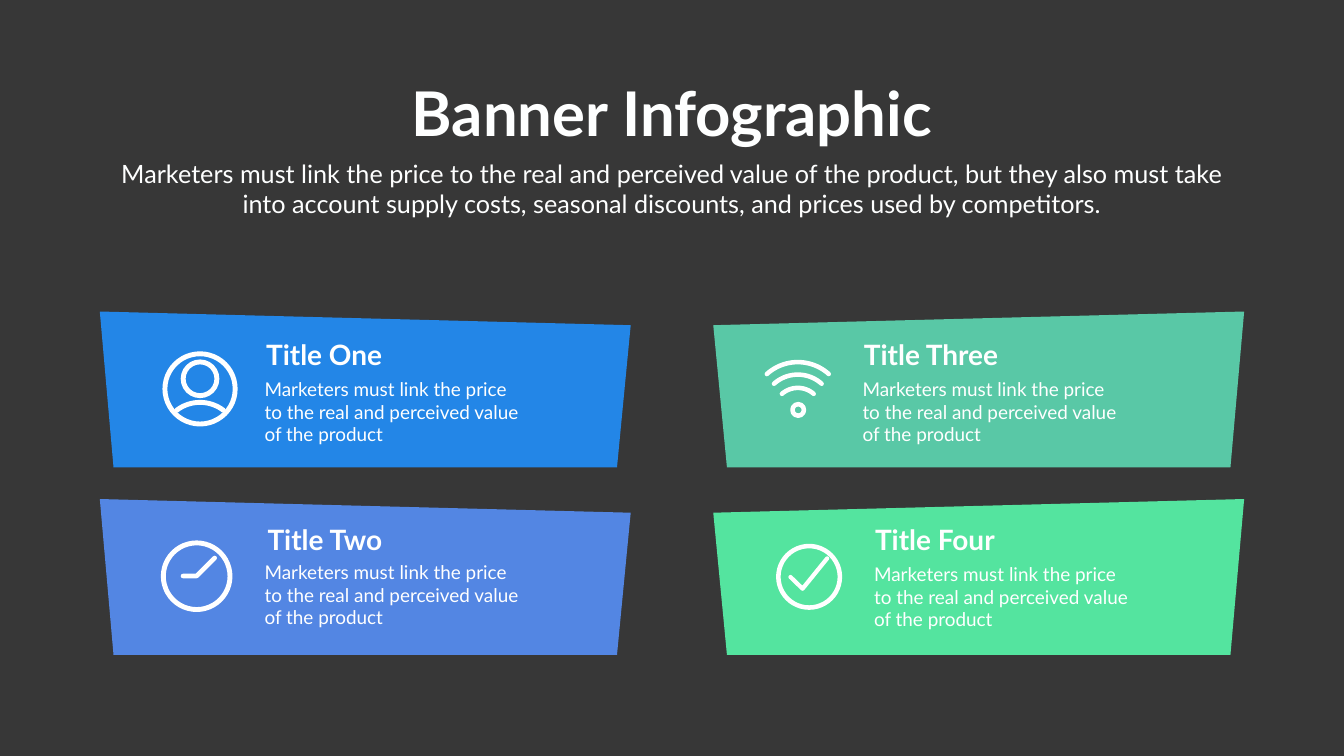
from math import asin, cos, sin

from lxml import etree
from pptx import Presentation
from pptx.dml.color import RGBColor
from pptx.enum.shapes import MSO_SHAPE
from pptx.enum.text import MSO_AUTO_SIZE, PP_ALIGN
from pptx.oxml.ns import qn
from pptx.util import Cm, Pt

OVAL = MSO_SHAPE.OVAL
GROW = MSO_AUTO_SIZE.SHAPE_TO_FIT_TEXT
LEFT, CENTER = PP_ALIGN.LEFT, PP_ALIGN.CENTER

COLORS = {
    "background": "373737",
    "heading": "FEFFFF",
    "white": "FFFFFF",
    "blue": "2386E7",
    "indigo": "5386E3",
    "teal": "59C8A6",
    "green": "54E49F",
}
FONT = "Lato"
SLIDE_WIDTH, SLIDE_HEIGHT = 67.72, 38.1

HEADING = "Banner Infographic"
INTRO = (
    "Marketers must link the price to the real and perceived value of the product, "
    "but they also must take into account supply costs, seasonal discounts, "
    "and prices used by competitors."
)
BODY = "Marketers must link the price to the real and perceived value of the product"

BANNERS = [
    {"title": "Title One", "color": "blue", "column": 0, "row": 0,
     "title_box": (13.16, 16.89, 6.53), "body_at": (13.08, 18.9)},
    {"title": "Title Two", "color": "indigo", "column": 0, "row": 1,
     "title_box": (13.23, 26.21, 6.53), "body_at": (13.08, 28.12)},
    {"title": "Title Three", "color": "teal", "column": 1, "row": 0,
     "title_box": (43.28, 16.89, 7.67), "body_at": (43.21, 18.9)},
    {"title": "Title Four", "color": "green", "column": 1, "row": 1,
     "title_box": (43.84, 26.21, 7.16), "body_at": (43.79, 28.22)},
]
MARGIN, FIRST_TOP, ROW_STEP = 5.03, 15.7, 9.45
BANNER_WIDTH, BANNER_HEIGHT, SLANT = 26.75, 7.85, 0.69

# center x, center y, radius, line width
RINGS = [
    (10.08, 19.6, 1.77, 7),
    (10.08, 19.09, 0.85, 7),
    (9.91, 29.04, 1.68, 7),
    (40.77, 29.07, 1.55, 6.5),
    (40.22, 20.66, 0.29, 6.5),
]
# peak x, peak y, half width, rise, line width
ARCS = [
    (10.08, 20.28, 1.18, 0.4, 7),
    (40.2, 18.25, 1.56, 0.6, 6.5),
    (40.2, 18.88, 1.2, 0.46, 6.5),
    (40.2, 19.55, 0.8, 0.3, 6.5),
]
CLOCK_HANDS = [(9.22, 29.03), (9.91, 29.03), (10.82, 28.12)]
CHECK_MARK = [(39.83, 29.08), (40.44, 29.67), (41.68, 28.14)]
ARC_STEPS = 24


def color(name):
    return RGBColor.from_string(COLORS[name])


def add_path(slide, points, close):
    points = [(Cm(x), Cm(y)) for x, y in points]
    builder = slide.shapes.build_freeform(*points[0])
    builder.add_line_segments(points[1:], close=close)
    shape = builder.convert_to_shape()
    shape.shadow.inherit = False
    return shape


def set_stroke(shape, width):
    shape.fill.background()
    shape.line.color.rgb = color("white")
    shape.line.width = Pt(width)


def add_stroke(slide, points, width):
    shape = add_path(slide, points, False)
    set_stroke(shape, width)
    line = shape.element.spPr.find(qn("a:ln"))
    line.set("cap", "rnd")
    etree.SubElement(line, qn("a:round"))


def add_ring(slide, x, y, radius, width):
    shape = slide.shapes.add_shape(
        OVAL, Cm(x - radius), Cm(y - radius), Cm(2 * radius), Cm(2 * radius))
    shape.shadow.inherit = False
    set_stroke(shape, width)


def arc_points(x, y, half, rise):
    radius = (half ** 2 + rise ** 2) / (2 * rise)
    limit = asin(half / radius)
    angles = [limit * (2 * step / ARC_STEPS - 1) for step in range(ARC_STEPS + 1)]
    return [(x + radius * sin(a), y + radius * (1 - cos(a))) for a in angles]


def add_banner(slide, banner):
    left, top = MARGIN, FIRST_TOP + banner["row"] * ROW_STEP
    right, bottom = left + BANNER_WIDTH, top + BANNER_HEIGHT
    points = [(left, top), (right, top + SLANT),
              (right - SLANT, bottom), (left + SLANT, bottom)]
    if banner["column"] == 1:
        points = [(SLIDE_WIDTH - x, y) for x, y in points]
    shape = add_path(slide, points, True)
    shape.fill.solid()
    shape.fill.fore_color.rgb = color(banner["color"])
    shape.line.fill.background()


def add_text(slide, text, box, size, color_name="white", bold=False,
             align=LEFT, wrap=True):
    frame = slide.shapes.add_textbox(*map(Cm, box)).text_frame
    frame.word_wrap = wrap
    frame.auto_size = GROW
    paragraph = frame.paragraphs[0]
    paragraph.text = text
    paragraph.alignment = align
    paragraph.font.name = FONT
    paragraph.font.size = Pt(size)
    paragraph.font.bold = bold
    paragraph.font.color.rgb = color(color_name)


def main():
    presentation = Presentation()
    presentation.slide_width = Cm(SLIDE_WIDTH)
    presentation.slide_height = Cm(SLIDE_HEIGHT)
    slide = presentation.slides.add_slide(presentation.slide_layouts[6])
    slide.background.fill.solid()
    slide.background.fill.fore_color.rgb = color("background")

    for banner in BANNERS:
        add_banner(slide, banner)
    for ring in RINGS:
        add_ring(slide, *ring)
    for *arc, width in ARCS:
        add_stroke(slide, arc_points(*arc), width)
    add_stroke(slide, CLOCK_HANDS, 6.5)
    add_stroke(slide, CHECK_MARK, 6)

    add_text(slide, HEADING, (20.17, 3.63, 27.38, 4.01), 88, "heading",
             bold=True, align=CENTER, wrap=False)
    add_text(slide, INTRO, (5.64, 7.85, 56.41, 3.33), 36, "heading", align=CENTER)
    for banner in BANNERS:
        add_text(slide, banner["title"], (*banner["title_box"], 1.96), 40, bold=True)
        add_text(slide, BODY, (*banner["body_at"], 13.39, 3.71), 27)
    presentation.save("out.pptx")


if __name__ == "__main__":
    main()
